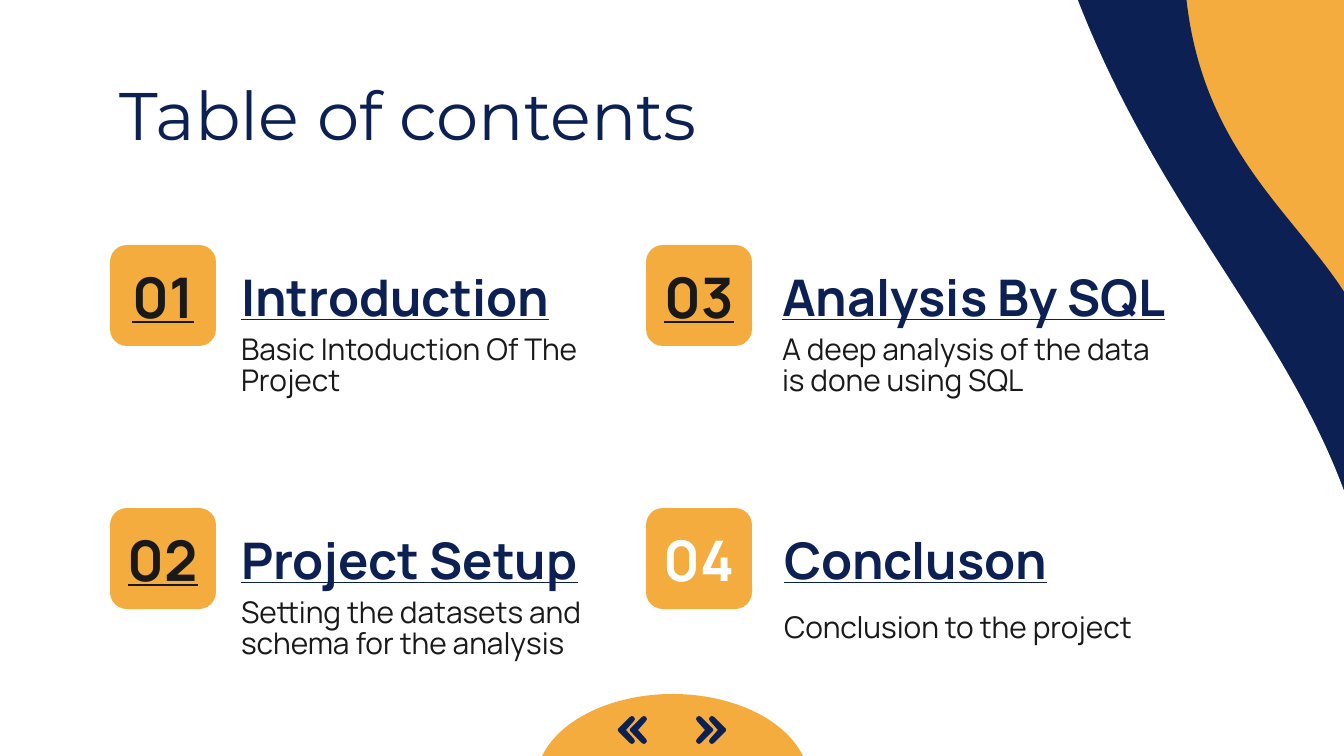
from dataclasses import dataclass

from pptx import Presentation
from pptx.dml.color import RGBColor
from pptx.enum import shapes, text
from pptx.util import Emu, Pt

SCALE = 914400 / 134.4
KIND = shapes.MSO_SHAPE
ALIGN = text.PP_ALIGN


@dataclass(frozen=True)
class Theme:
    navy: str = "0C2054"
    gold: str = "F3AC3D"
    ink: str = "191919"
    white: str = "FFFFFF"
    head: str = "Montserrat"
    body: str = "Manrope"
    title: int = 36
    number: int = 30
    topic: int = 27
    note: int = 16


THEME = Theme()


def px(n):
    return Emu(round(n * SCALE))


def paint(shape, color):
    shape.shadow.inherit = False
    shape.fill.solid()
    shape.fill.fore_color.rgb = RGBColor.from_string(color)
    shape.line.fill.background()


def draw(slide, kind, box, color, turn=0):
    shape = slide.shapes.add_shape(kind, *map(px, box))
    shape.rotation = turn
    paint(shape, color)
    return shape


def write(shape, words, size, color, font=THEME.body, bold=False,
          under=False, align=ALIGN.LEFT, lead=1.0):
    frame = shape.text_frame
    frame.word_wrap = True
    frame.auto_size = text.MSO_AUTO_SIZE.NONE
    frame.vertical_anchor = text.MSO_ANCHOR.MIDDLE
    for side in ("left", "right", "top", "bottom"):
        setattr(frame, f"margin_{side}", px(13))
    line = frame.paragraphs[0]
    line.alignment = align
    line.line_spacing = lead
    run = line.add_run()
    run.text = words
    run.font.name = font
    run.font.size = Pt(size)
    run.font.bold = bold
    run.font.underline = under
    run.font.color.rgb = RGBColor.from_string(color)


def label(slide, box, words, size, color, **style):
    write(slide.shapes.add_textbox(*map(px, box)), words, size, color, **style)


def waves(slide):
    fill = slide.background.fill
    fill.solid()
    fill.fore_color.rgb = RGBColor.from_string(THEME.gold)
    wave = KIND.FLOWCHART_DOCUMENT
    draw(slide, wave, (626, -184, 586, 931), THEME.navy, 267)
    draw(slide, wave, (-75, -368, 1361, 1535), THEME.white, 264.8)


def header(slide, box):
    title = slide.shapes.title
    title.left, title.top, title.width, title.height = map(px, box)
    write(title, "Table of contents", THEME.title, THEME.navy, font=THEME.head)
    tree = title.element.getparent()
    tree.append(title.element)


def card(slide, x, y, indent, number, topic, note, live=True):
    draw(slide, KIND.ROUNDED_RECTANGLE, (x, y, 106, 101), THEME.gold)
    label(slide, (x - 2, y + 12, 110, 78), number, THEME.number,
          THEME.ink if live else THEME.white,
          bold=True, under=live, align=ALIGN.CENTER)
    label(slide, (x + indent, y + 12, 413, 78), topic, THEME.topic,
          THEME.navy, bold=True, under=True)
    label(slide, (x + indent, y + 86, 395, 71), note, THEME.note,
          THEME.ink, lead=0.88)


def arrow(slide, x, y, back):
    edge = [(3, 0), (5, 1), (17, 13), (17, 15), (5, 27), (3, 28),
            (1, 27), (0, 25), (1, 23), (9, 14), (1, 5), (0, 3), (1, 1)]
    spots = [(x + (17 - a if back else a), y + b) for a, b in edge]
    pen = slide.shapes.build_freeform(*spots[0], scale=SCALE)
    pen.add_line_segments(spots[1:], close=True)
    paint(pen.convert_to_shape(), THEME.navy)


def footer(slide, x, y, wide, high):
    dome = draw(slide, KIND.PIE, (x, y, wide, high), THEME.gold, 180)
    dome.adjustments[0] = 0
    dome.adjustments[1] = 108
    for step, back in ((82, True), (94, True), (160, False), (173, False)):
        arrow(slide, x + step, y + 22, back)


def main():
    deck = Presentation()
    deck.slide_width, deck.slide_height = px(1344), px(756)
    slide = deck.slides.add_slide(deck.slide_layouts[5])
    waves(slide)
    header(slide, (106, 78, 1133, 71))
    left, right, top, low = 110, 646, 245, 508
    card(slide, left, top, 118, "01", "Introduction",
         "Basic Intoduction Of The Project")
    card(slide, left, low, 118, "02", "Project Setup",
         "Setting the datasets and schema for the analysis")
    card(slide, right, top, 123, "03", "Analysis By SQL",
         "A deep analysis of the data is done using SQL")
    card(slide, right, low, 125, "04", "Concluson",
         "Conclusion to the project", live=False)
    footer(slide, 536, 694, 273, 176)
    deck.save("out.pptx")


if __name__ == "__main__":
    main()
